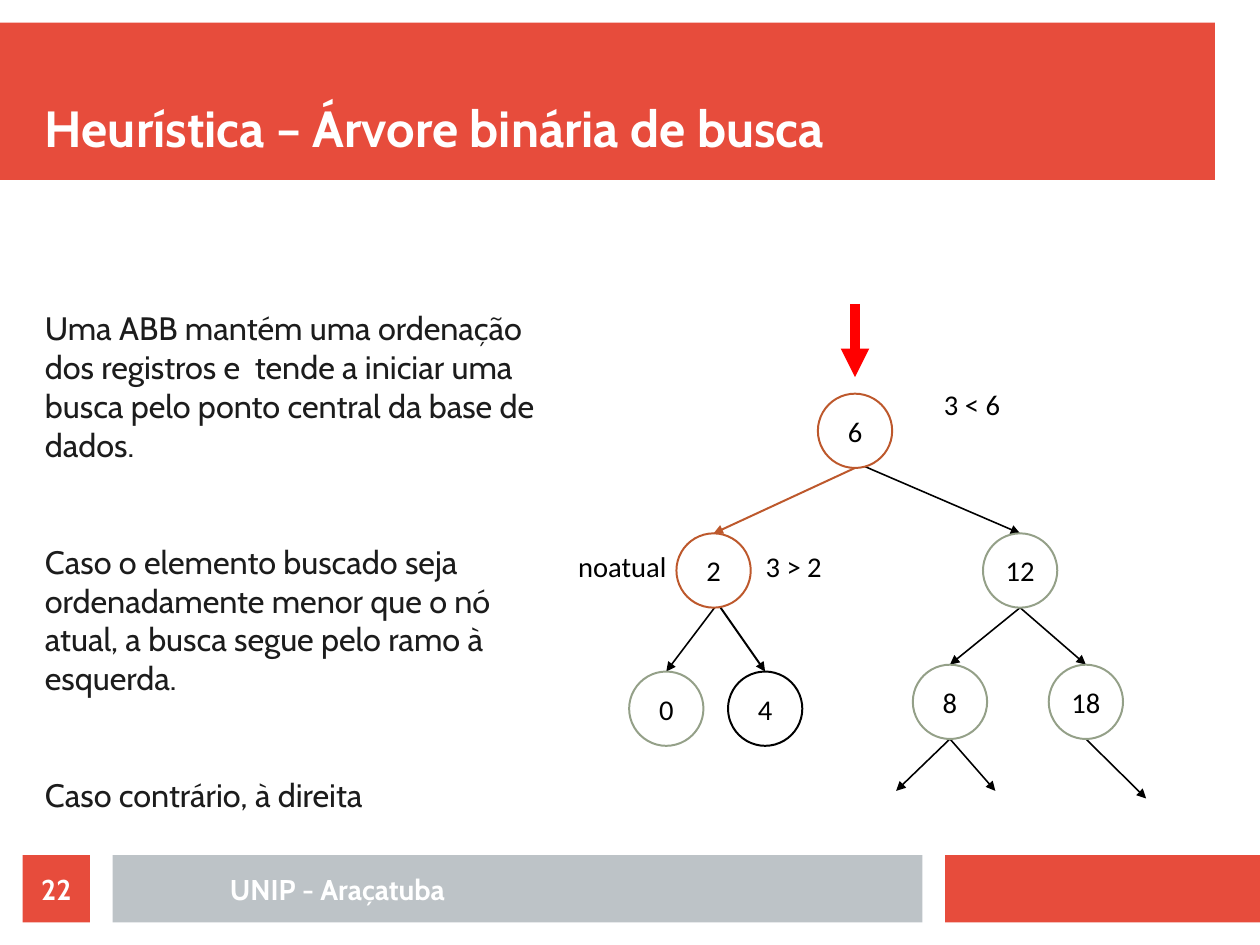
from lxml.etree import SubElement
from pptx import Presentation
from pptx.dml.color import RGBColor
from pptx.enum.shapes import MSO_CONNECTOR, MSO_SHAPE
from pptx.enum.text import MSO_ANCHOR, MSO_AUTO_SIZE, PP_ALIGN
from pptx.oxml.ns import qn
from pptx.util import Pt

RECTANGLE, ELLIPSE, STRAIGHT = MSO_SHAPE.RECTANGLE, MSO_SHAPE.OVAL, MSO_CONNECTOR.STRAIGHT
TOP, MIDDLE, BOTTOM = MSO_ANCHOR.TOP, MSO_ANCHOR.MIDDLE, MSO_ANCHOR.BOTTOM
LEFT, CENTER = PP_ALIGN.LEFT, PP_ALIGN.CENTER
NO_AUTOFIT = MSO_AUTO_SIZE.NONE

RED, GRAY, WHITE, BLACK, INK = "E74C3C", "BDC3C7", "FFFFFF", "000000", "1C1C1C"
VISITED, UNVISITED, POINTER = "BD582C", "94A088", "FF0000"

TITLE_FORMAT = {"name": "Cabin", "size": Pt(32), "bold": True}
BODY_FORMAT = {"name": "Cabin", "size": Pt(20.4), "bold": False}
FOOTER_FORMAT = {"name": "Cabin", "size": Pt(18), "bold": True}
TREE_FORMAT = {"name": "Calibri", "size": Pt(18), "bold": False}

TITLE = "Heurística – Árvore binária de busca"
BODY = [
    "Uma ABB mantém uma ordenação dos registros e  tende a iniciar uma busca pelo ponto central da base de dados.",
    "Caso o elemento buscado seja ordenadamente menor que o nó atual, a busca segue pelo ramo à esquerda.",
    "Caso contrário, à direita",
]

DIAMETER = 46.8
# Value: centre x, top y, outline colour
NODES = {
    6: (538.6, 248, VISITED),
    2: (449.5, 336, VISITED),
    12: (642.6, 336, UNVISITED),
    0: (419.7, 423, UNVISITED),
    4: (482, 423, BLACK),
    8: (598.4, 418.7, UNVISITED),
    18: (684, 418.7, UNVISITED),
}
# Parent, child, x shift of the start, colour, width
EDGES = [
    (6, 12, 2.5, BLACK, 1),
    (2, 0, 2.6, BLACK, 1),
    (2, 4, 2.6, BLACK, 1.25),
    (12, 8, 0, BLACK, 1),
    (12, 18, 0, BLACK, 1),
    (6, 2, 0, VISITED, 1.25),
]
# Parent and end point of branches that lead on to nodes not drawn
OPEN_BRANCHES = [(8, (564.5, 498.2)), (8, (627, 498.2)), (18, (722, 503))]
LABELS = [
    ("3 < 6", 587.5, 240.2, 49.7),
    ("3 > 2", 475.2, 342, 49.7),
    ("noatual", 357.1, 342, 69.8),
]


def color(value):
    return RGBColor.from_string(value)


def place(shape, left, top, width, height):
    shape.left, shape.top, shape.width, shape.height = Pt(left), Pt(top), Pt(width), Pt(height)


def set_text(shape, paragraphs, font_format, ink, anchor=MIDDLE, align=CENTER,
             margins=(0, 0), gap=0, wrap=True):
    frame = shape.text_frame
    frame.text = "\n".join(paragraphs)
    horizontal, vertical = margins
    frame_format = {
        "auto_size": NO_AUTOFIT, "word_wrap": wrap, "vertical_anchor": anchor,
        "margin_left": Pt(horizontal), "margin_right": Pt(horizontal),
        "margin_top": Pt(vertical), "margin_bottom": Pt(vertical),
    }
    for name, value in frame_format.items():
        setattr(frame, name, value)
    for index, paragraph in enumerate(frame.paragraphs):
        paragraph.alignment = align
        paragraph.line_spacing = 1.0
        paragraph.space_before = Pt(gap if index else 0)
        paragraph.space_after = Pt(0)
        properties = paragraph._p.get_or_add_pPr()
        properties.set("marL", "0")
        properties.set("indent", "0")
        SubElement(properties, qn("a:buNone"))
        for name, value in font_format.items():
            setattr(paragraph.font, name, value)
        paragraph.font.color.rgb = color(ink)


def add_filled(slide, kind, box, fill, outline=None):
    shape = slide.shapes.add_shape(kind, *map(Pt, box))
    shape.shadow.inherit = False
    shape.fill.solid()
    shape.fill.fore_color.rgb = color(fill)
    if outline:
        shape.line.color.rgb = color(outline)
        shape.line.width = Pt(1.25)
    else:
        shape.line.fill.background()
    return shape


def add_arrow(slide, start, end, ink, width):
    connector = slide.shapes.add_connector(STRAIGHT, *map(Pt, start + end))
    connector.line.color.rgb = color(ink)
    connector.line.width = Pt(width)
    SubElement(connector.line._get_or_add_ln(), qn("a:tailEnd"), type="triangle")
    SubElement(connector._element.spPr, qn("a:effectLst"))


def node_bottom(value, shift=0):
    center, top, _ = NODES[value]
    return center + shift, top + DIAMETER


def add_tree(slide):
    for parent, child, shift, ink, width in EDGES:
        start_x, start_y = node_bottom(parent, shift)
        # A shifted start is raised so that the circle hides its end
        add_arrow(slide, (start_x, start_y - abs(shift)), NODES[child][:2], ink, width)
    for parent, end in OPEN_BRANCHES:
        add_arrow(slide, node_bottom(parent), end, BLACK, 1)
    for value, (center, top, outline) in NODES.items():
        box = (center - DIAMETER / 2, top, DIAMETER, DIAMETER)
        node = add_filled(slide, ELLIPSE, box, WHITE, outline)
        set_text(node, [str(value)], TREE_FORMAT, BLACK, margins=(7.2, 3.6))
    root_x = NODES[6][0]
    add_arrow(slide, (root_x, 191.5), (root_x, 237.6), POINTER, 6)


def add_label(slide, text, left, top, width):
    label = slide.shapes.add_textbox(Pt(left), Pt(top), Pt(width), Pt(28.8))
    set_text(label, [text], TREE_FORMAT, BLACK, TOP, LEFT, (7.2, 3.6), wrap=False)


def add_footer(slide):
    top, height = 538.6, 42.5
    add_filled(slide, RECTANGLE, (595.3, top, 198.4, height), RED)
    add_filled(slide, RECTANGLE, (70.9, top, 510.2, height), GRAY)
    number = add_filled(slide, RECTANGLE, (14.2, top, height, height), RED)
    set_text(number, ["22"], FOOTER_FORMAT, WHITE)
    school = slide.shapes.add_textbox(Pt(85), Pt(top), Pt(255.1), Pt(height))
    set_text(school, ["UNIP - Araçatuba"], FOOTER_FORMAT, WHITE)


def main():
    presentation = Presentation()
    presentation.slide_width, presentation.slide_height = Pt(793.7), Pt(595.28)
    slide = presentation.slides.add_slide(presentation.slide_layouts[1])
    title, body = slide.placeholders

    banner = add_filled(slide, RECTANGLE, (0, 14.2, 765.4, 99.2), RED)
    title._element.addprevious(banner._element)
    place(title, 28.3, 28.3, 737, 70.9)
    set_text(title, [TITLE], TITLE_FORMAT, WHITE, BOTTOM, LEFT)
    place(body, 28.3, 194, 329, 330)
    set_text(body, BODY, BODY_FORMAT, INK, TOP, LEFT, gap=49.3)

    add_tree(slide)
    for label in LABELS:
        add_label(slide, *label)
    add_footer(slide)
    presentation.save("out.pptx")


if __name__ == "__main__":
    main()
